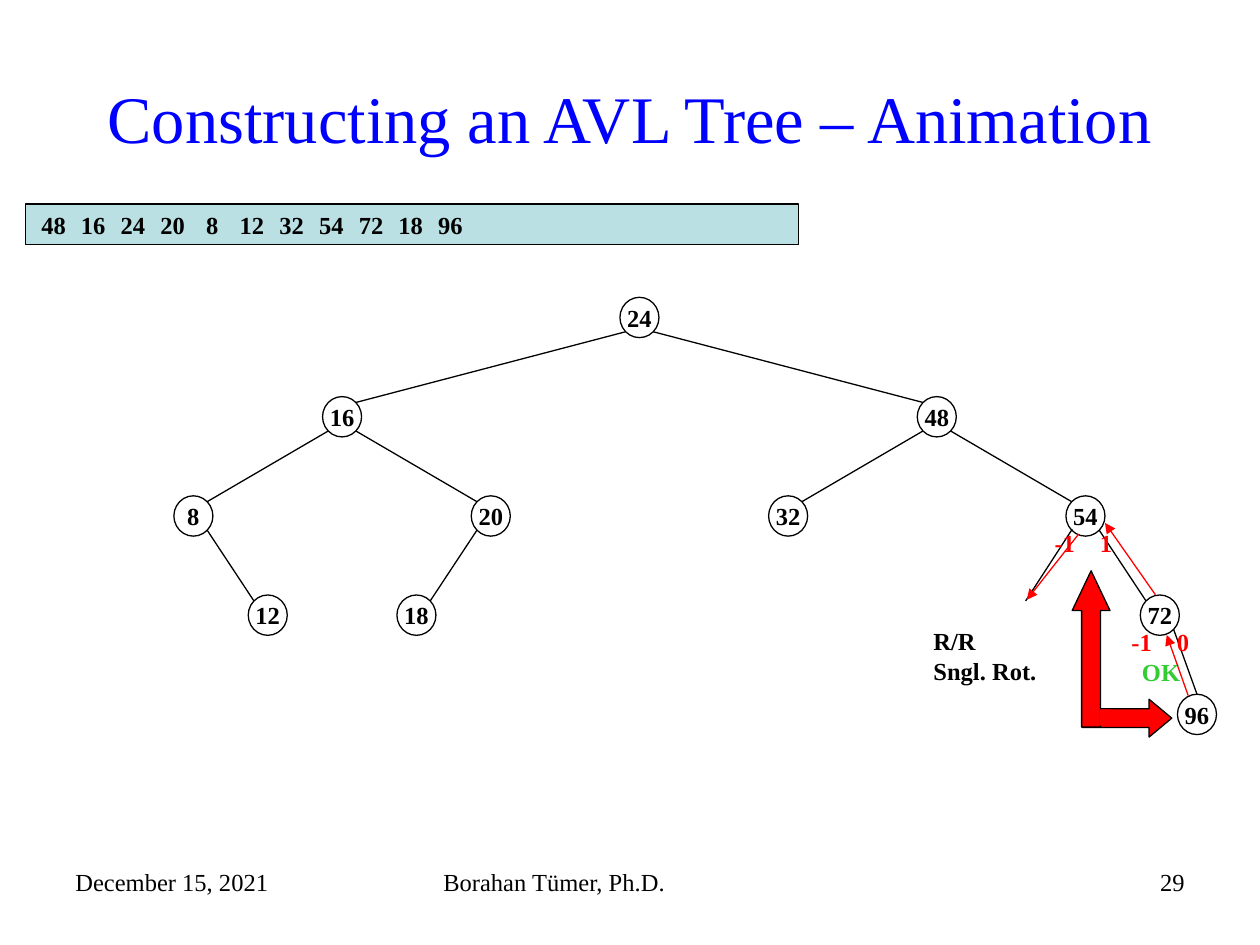
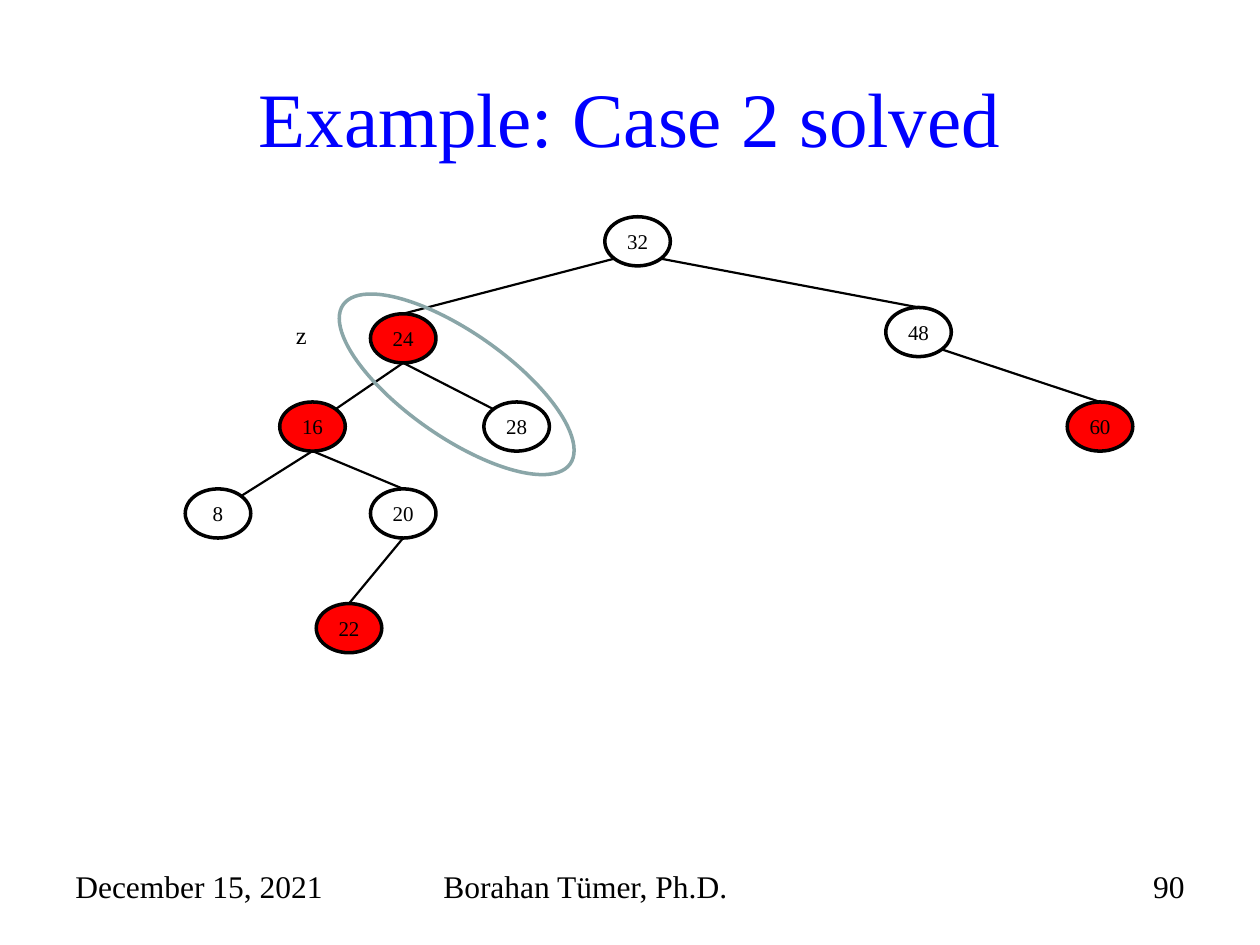
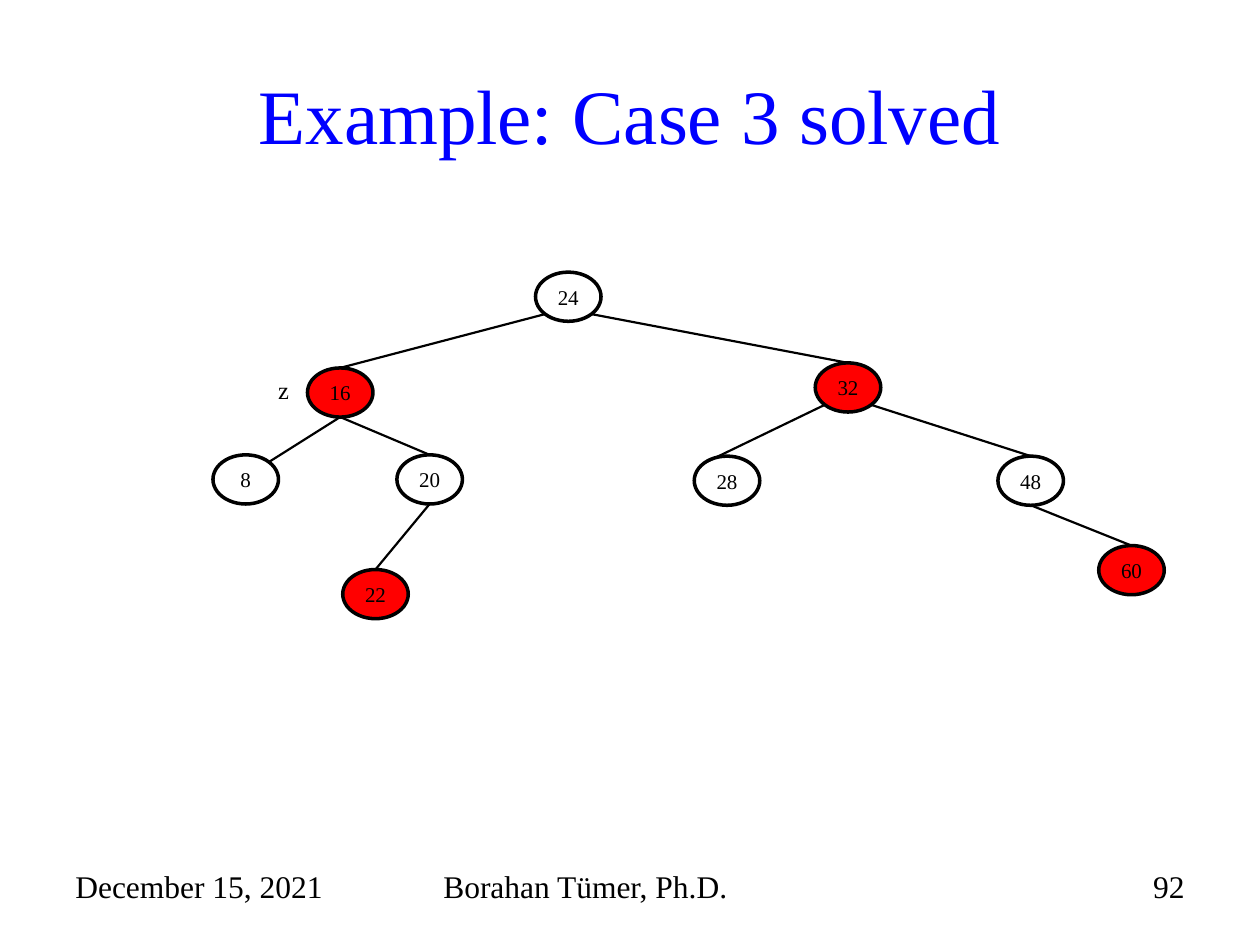
from dataclasses import dataclass

from lxml.etree import SubElement
from pptx import Presentation
from pptx.dml.color import RGBColor
from pptx.enum.shapes import MSO_CONNECTOR as CONNECTOR, MSO_SHAPE as SHAPE
from pptx.enum.text import MSO_ANCHOR as ANCHOR, PP_ALIGN as ALIGN
from pptx.oxml.ns import qn
from pptx.util import Pt

PX = 9144  # EMU per px, 100 px to the inch


@dataclass(frozen=True)
class Theme:
    font: str = "Times New Roman"
    black: str = "000000"
    title: str = "0000FF"
    red: str = "FF0000"
    green: str = "33CC33"
    strip: str = "BBE0E3"
    halo: str = "8AA6A8"
    title_size: int = 44
    long_title_size: int = 38
    footer_size: int = 18
    small_size: int = 14
    node_size: int = 12
    thin: float = 0.75
    edge: float = 1.25
    thick: float = 2


THEME = Theme()

# Points on an ellipse's outline, as fractions of its width and height
SITES = {"n": (0.5, 0), "s": (0.5, 1), "nw": (0.146, 0.146),
         "ne": (0.854, 0.146), "sw": (0.146, 0.854), "se": (0.854, 0.854)}


def emu(*lengths):
    return [round(v * PX) for v in lengths]


def write(sp, text, size=THEME.small_size, color=THEME.black, bold=False,
          align=ALIGN.LEFT, tab=None):
    """Add one paragraph to a shape, with an optional tab stop in px."""
    tf = sp.text_frame
    p = tf.add_paragraph() if tf.text else tf.paragraphs[0]
    p.alignment = align
    if tab:
        stops = SubElement(p._p.get_or_add_pPr(), qn("a:tabLst"))
        SubElement(stops, qn("a:tab"), pos=str(tab * PX), algn="l")
    r = p.add_run()
    r.text = text
    r.font.name = THEME.font
    r.font.size = Pt(size)
    r.font.bold = bold
    r.font.color.rgb = RGBColor.from_string(color)


def set_margins(sp, margin):
    tf = sp.text_frame
    tf.margin_left = tf.margin_top = tf.margin_right = tf.margin_bottom = margin


def add_text(s, box, text=None, anchor=ANCHOR.TOP, flush=False, **fmt):
    sp = s.shapes.add_textbox(*emu(*box))
    sp.text_frame.word_wrap = True
    sp.text_frame.vertical_anchor = anchor
    if flush:
        set_margins(sp, 0)
    if text:
        write(sp, text, **fmt)
    return sp


def add_shape(s, kind, box, fill=None, line=THEME.black, width=THEME.thin):
    sp = s.shapes.add_shape(kind, *emu(*box))
    sp.shadow.inherit = False
    if fill:
        sp.fill.solid()
        sp.fill.fore_color.rgb = RGBColor.from_string(fill)
    else:
        sp.fill.background()
    if line:
        sp.line.color.rgb = RGBColor.from_string(line)
        sp.line.width = Pt(width)
    else:
        sp.line.fill.background()
    return sp


def add_line(s, start, end, color=THEME.black, width=THEME.thin, arrow=False):
    c = s.shapes.add_connector(CONNECTOR.STRAIGHT, *emu(*start, *end))
    c.line.color.rgb = RGBColor.from_string(color)
    c.line.width = Pt(width)
    props = c.element.spPr
    if arrow:
        SubElement(props.find(qn("a:ln")), qn("a:tailEnd"), type="triangle")
    SubElement(props, qn("a:effectLst"))
    return c


def add_node(s, key, box, size, bold=False, **style):
    sp = add_shape(s, SHAPE.OVAL, box, **style)
    set_margins(sp, 0)
    sp.text_frame.word_wrap = False
    sp.text_frame.vertical_anchor = ANCHOR.MIDDLE
    write(sp, str(key), size=size, bold=bold, align=ALIGN.CENTER)
    return sp


def site(sp, name):
    fx, fy = SITES[name]
    return (sp.left + fx * sp.width) / PX, (sp.top + fy * sp.height) / PX


def add_edge(s, parent, start, child, end, width):
    c = add_line(s, site(parent, start), site(child, end), width=width)
    if end == "n":
        c.end_connect(child, 0)


def add_arrow(s, box, head, rotation=0):
    sp = add_shape(s, SHAPE.RIGHT_ARROW, box, fill=THEME.red)
    sp.adjustments[0], sp.adjustments[1] = 0.5, head
    sp.rotation = rotation


def add_balance(s, x, y, left, right):
    sp = add_text(s, (x, y, 47, 23), flush=True)
    write(sp, f"{left}\t{right}", color=THEME.red, bold=True, tab=36)
    return sp


def base_slide(prs, title, number, title_size=THEME.title_size,
               footer_size=THEME.footer_size, title_top=30):
    s = prs.slides.add_slide(prs.slide_layouts[6])
    add_text(s, (50, title_top, 900, 125), title, anchor=ANCHOR.MIDDLE,
             size=title_size, color=THEME.title, align=ALIGN.CENTER)
    for x, w, text, align in [(50, 233, "December 15, 2021", ALIGN.LEFT),
                              (342, 317, "Borahan Tümer, Ph.D.", ALIGN.LEFT),
                              (717, 233, str(number), ALIGN.RIGHT)]:
        add_text(s, (x, 683, w, 52), text, size=footer_size, align=align)
    return s


def add_avl_tree(s, paths):
    """Place each key by its path of L and R turns from the root."""
    nodes = {}
    for path, key in paths.items():
        x = 492 + sum((236 if turn == "R" else -236) / 2 ** i
                      for i, turn in enumerate(path))
        y = 236 + 78.75 * len(path)
        nodes[path] = add_node(s, key, (x, y, 31, 32), THEME.small_size, bold=True)
    for path, child in nodes.items():
        if path:
            start, end = ("se", "nw") if path[-1] == "R" else ("sw", "ne")
            if path == "RRRR":
                end = "n"
            add_edge(s, nodes[path[:-1]], start, child, end, THEME.thin)


def add_red_black_tree(s, places, reds, edges):
    nodes = {key: add_node(s, key, (x, y, 52, 39), THEME.node_size,
                           fill=THEME.red if key in reds else None,
                           width=THEME.thick)
             for key, (x, y) in places.items()}
    for parent, start, child, end in edges:
        add_edge(s, nodes[parent], start, nodes[child], end, THEME.edge)


def avl_slide(prs):
    s = base_slide(prs, "Constructing an AVL Tree – Animation", 29,
                   THEME.long_title_size, THEME.small_size)
    add_shape(s, SHAPE.RECTANGLE, (20, 162, 614, 32), fill=THEME.strip)
    for i, key in enumerate([48, 16, 24, 20, 8, 12, 32, 54, 72, 18, 96]):
        add_node(s, key, (27 + 31.5 * i, 162, 31, 32), THEME.small_size,
                 bold=True, line=None)
    add_avl_tree(s, {"": 24, "L": 16, "R": 48, "LL": 8, "LR": 20, "RL": 32,
                     "RR": 54, "LLR": 12, "LRL": 18, "RRR": 72, "RRRR": 96})
    add_line(s, (814, 477), (851, 420))

    ok = add_balance(s, 898, 498, "-1", "0")
    write(ok, "OK", color=THEME.green, bold=True, align=ALIGN.CENTER)
    add_balance(s, 837, 419, "-1", "1")

    add_arrow(s, (859, 555, 71, 30), 0.6)
    add_arrow(s, (804, 500, 124, 30), 1.05, rotation=270)
    add_shape(s, SHAPE.RECTANGLE, (873, 563, 9, 13), fill=THEME.red, line=None)
    rotation = add_text(s, (731, 492, 109, 57), "R/R", bold=True)
    write(rotation, "Sngl. Rot.", bold=True)
    for start, end in [((943, 552), (926, 504)), ((917, 472), (877, 415)),
                       ((856, 424), (815, 476))]:
        add_line(s, start, end, color=THEME.red, arrow=True)


def case_2_slide(prs):
    s = base_slide(prs, "Example: Case 2 solved", 90)
    add_red_black_tree(
        s,
        {32: (480, 172), 48: (703, 244), 24: (294, 249), 16: (222, 319),
         28: (384, 319), 60: (847, 319), 20: (294, 388), 22: (251, 479),
         8: (147, 388)},
        {24, 16, 60, 22},
        [(32, "sw", 24, "n"), (32, "se", 48, "n"), (24, "s", 16, "ne"),
         (24, "s", 28, "nw"), (48, "se", 60, "n"), (16, "s", 20, "n"),
         (20, "s", 22, "n"), (16, "s", 8, "ne")])
    add_text(s, (225, 249, 52, 34), "z")
    halo = add_shape(s, SHAPE.OVAL, (321, 195, 83, 220), line=THEME.halo,
                     width=THEME.thick)
    halo.rotation = 305


def case_3_slide(prs):
    s = base_slide(prs, "Example: Case 3 solved", 92, title_top=28)
    add_red_black_tree(
        s,
        {24: (425, 216), 32: (647, 288), 16: (244, 292), 28: (551, 362),
         48: (792, 362), 20: (315, 361), 22: (272, 452), 8: (169, 361),
         60: (872, 433)},
        {32, 16, 22, 60},
        [(24, "sw", 16, "n"), (24, "se", 32, "n"), (32, "sw", 28, "nw"),
         (32, "se", 48, "n"), (16, "s", 20, "n"), (20, "s", 22, "n"),
         (16, "s", 8, "ne"), (48, "s", 60, "n")])
    add_text(s, (211, 293, 52, 34), "z")


def main():
    prs = Presentation()
    prs.slide_width, prs.slide_height = emu(1000, 750)
    avl_slide(prs)
    case_2_slide(prs)
    case_3_slide(prs)
    prs.save("out.pptx")


if __name__ == "__main__":
    main()
